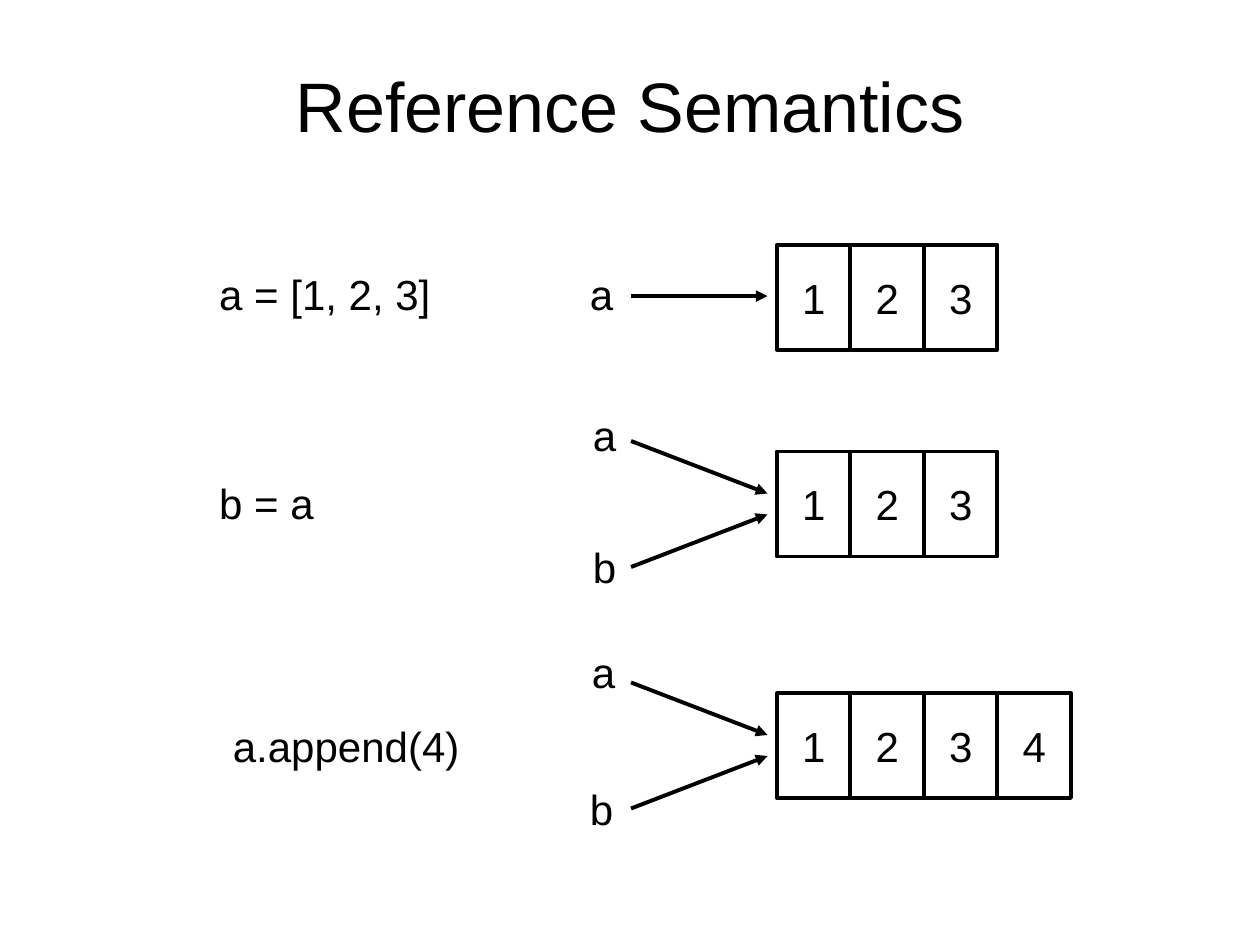
import pptx
import pptx.util
import pptx.dml.color
import pptx.enum.shapes
import pptx.enum.text
import pptx.oxml

COLS, ROWS = 120, 90
INK = "000000"
ALIGN = pptx.enum.text.PP_ALIGN
ANCHOR = pptx.enum.text.MSO_ANCHOR

deck = pptx.Presentation()
deck.slide_width = pptx.util.Inches(10)
deck.slide_height = pptx.util.Inches(7.5)


def grid(col, row):
    """Turn a column and a row into slide lengths."""
    return int(deck.slide_width * col / COLS), int(deck.slide_height * row / ROWS)


def tint(code):
    """Turn a hex string into a colour."""
    return pptx.dml.color.RGBColor.from_string(code)


def write(shape, text, size=24, align=ALIGN.LEFT, anchor=ANCHOR.TOP, wrap=False, space=1.0):
    """Put formatted text into a shape."""
    frame = shape.text_frame
    frame.text = text
    frame.word_wrap = wrap
    frame.vertical_anchor = anchor
    line = frame.paragraphs[0]
    line.alignment = align
    line.line_spacing = space
    font = line.runs[0].font
    font.name = "Arial"
    font.size = pptx.util.Pt(size)
    font.color.rgb = tint(INK)


def label(slide, text, col, row, wide):
    """Add a one-line text box."""
    write(slide.shapes.add_textbox(*grid(col, row), *grid(wide, 6)), text)


def arrow(slide, start, end):
    """Add a line with an arrowhead at its end."""
    kind = pptx.enum.shapes.MSO_CONNECTOR.STRAIGHT
    link = slide.shapes.add_connector(kind, *grid(*start), *grid(*end))
    link.line.color.rgb = tint(INK)
    link.line.width = pptx.util.Pt(2.25)
    space = 'xmlns:a="http://schemas.openxmlformats.org/drawingml/2006/main"'
    head = pptx.oxml.parse_xml(f'<a:tailEnd {space} type="triangle"/>')
    link.line._get_or_add_ln().append(head)
    link._element.spPr.append(pptx.oxml.parse_xml(f"<a:effectLst {space}/>"))


def cells(slide, count, left, top, wide=7, high=10):
    """Draw a list as a row of numbered boxes."""
    kind = pptx.enum.shapes.MSO_SHAPE.RECTANGLE
    for step in range(count):
        cell = slide.shapes.add_shape(kind, *grid(left + step * wide, top), *grid(wide, high))
        cell.shadow.inherit = False
        cell.fill.background()
        cell.line.color.rgb = tint(INK)
        cell.line.width = pptx.util.Pt(2.25)
        write(cell, str(step + 1), align=ALIGN.CENTER, anchor=ANCHOR.MIDDLE)


def band(slide, top, code, left, drop, wide, count, names):
    """Lay out one statement, its names and the list they refer to."""
    label(slide, code, left, top + drop, wide)
    for name, col, row, start, end in names:
        label(slide, name, col, top + row, 4.8)
        arrow(slide, (60.1, top + start), (73.1, top + end))
    cells(slide, count, 74, top)


def title(slide, text):
    """Place and format the title."""
    head = slide.shapes.title
    head.left, head.top = grid(8.25, 1.8)
    head.width, head.height = grid(103.5, 17.4)
    write(head, text, size=40, align=ALIGN.CENTER, anchor=ANCHOR.MIDDLE, wrap=True, space=0.9)


BANDS = [
    (23.3, "a = [1, 2, 3]", 19.7, 1.7, 23.5, 3, [("a", 55, 1.7, 4.9, 4.9)]),
    (43, "b = a", 19.7, 1.9, 12, 3,
     [("a", 55.3, -4.6, -1, 4), ("b", 55.3, 8, 11, 6)]),
    (66, "a.append(4)", 21, 2, 24.8, 4,
     [("a", 55.2, -5, -1, 4), ("b", 55, 8, 11, 6)]),
]

page = deck.slides.add_slide(deck.slide_layouts[5])
title(page, "Reference Semantics")
for row in BANDS:
    band(page, *row)
deck.save("out.pptx")
